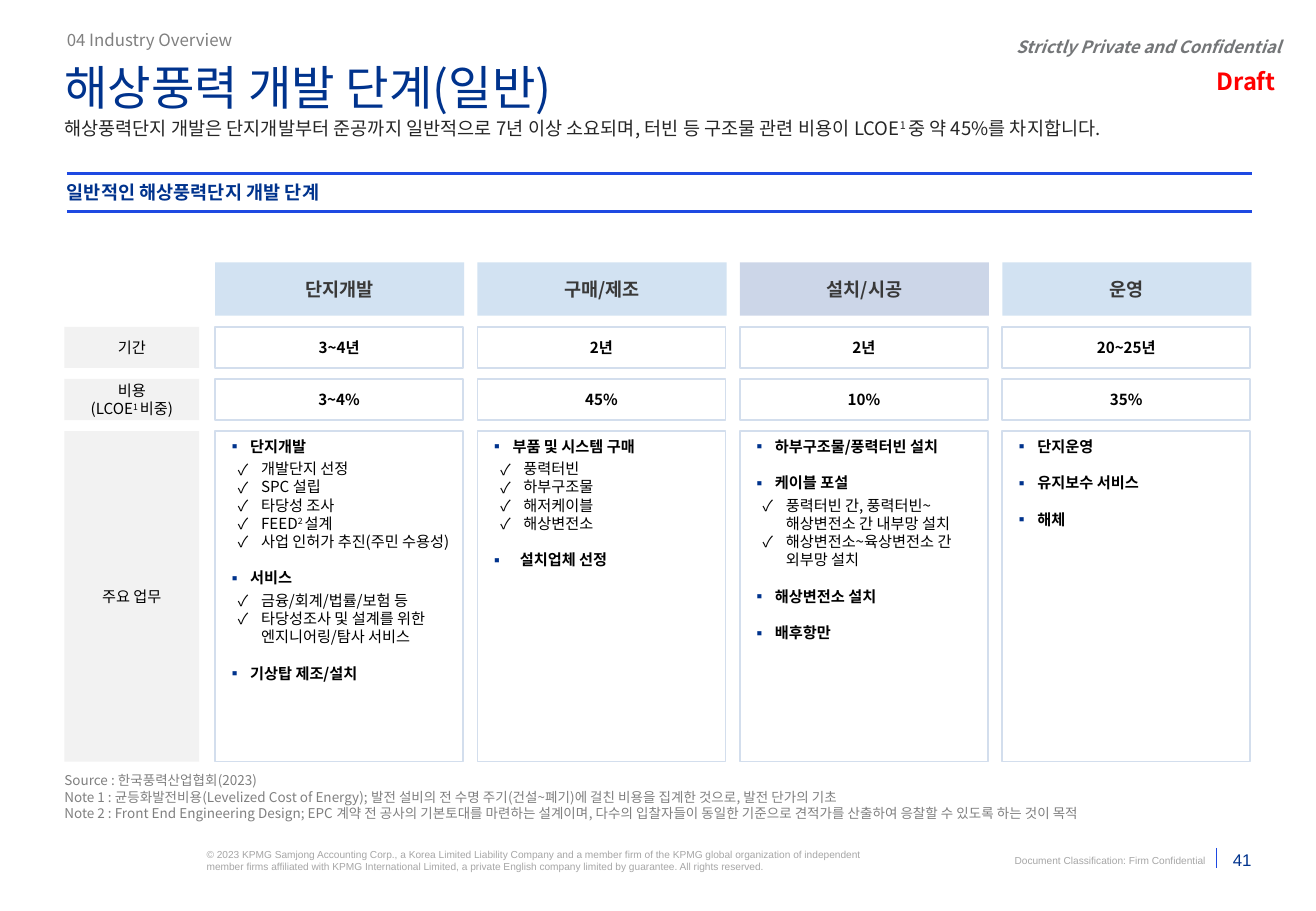
from dataclasses import dataclass, replace
from typing import NamedTuple, Optional

from lxml.etree import SubElement
from pptx import Presentation
from pptx.dml.color import RGBColor
from pptx.enum.shapes import MSO_CONNECTOR, MSO_SHAPE
from pptx.enum.text import MSO_ANCHOR, MSO_AUTO_SIZE, PP_ALIGN
from pptx.oxml.ns import qn
from pptx.util import Inches, Pt

NAVY = RGBColor(0x00, 0x33, 0x8D)
BLUE = RGBColor(0x1E, 0x49, 0xE2)
SKY = RGBColor(0xBF, 0xD7, 0xED)
BORDER = RGBColor(0xD3, 0xDE, 0xED)
LABEL_FILL = RGBColor(0xF2, 0xF2, 0xF2)
BLACK = RGBColor(0x00, 0x00, 0x00)
CHARCOAL = RGBColor(0x26, 0x26, 0x26)
HEADER_TEXT = RGBColor(0x39, 0x39, 0x39)
SLATE = RGBColor(0x74, 0x76, 0x78)
GRAY = RGBColor(0x80, 0x80, 0x80)
NOTE_GRAY = RGBColor(0x7F, 0x7F, 0x7F)
FOOTER_GRAY = RGBColor(0xA6, 0xA6, 0xA6)
RED = RGBColor(0xFF, 0x00, 0x00)
KOREAN_FONT = "Noto Sans CJK KR"
LINE_FACTOR = 1.2
SLIDE_WIDTH, SLIDE_HEIGHT = Inches(10.83), Inches(7.5)


class Box(NamedTuple):
    """Place and size in percent of the slide."""
    left: float
    top: float
    width: float
    height: float

    def lengths(self) -> tuple:
        return (x_share(self.left), y_share(self.top),
                x_share(self.width), y_share(self.height))


@dataclass(frozen=True)
class Style:
    size: float
    color: RGBColor = BLACK
    bold: bool = False
    italic: bool = False
    align: PP_ALIGN = PP_ALIGN.LEFT
    anchor: MSO_ANCHOR = MSO_ANCHOR.TOP
    font: str = KOREAN_FONT
    inset: tuple = (0, 0)


@dataclass(frozen=True)
class Task:
    text: str
    details: tuple = ()
    indent: float = 0.19


@dataclass(frozen=True)
class Stage:
    name: str
    period: str
    cost: str
    tasks: tuple
    fill: RGBColor = SKY
    opacity: int = 70


MIDDLE = MSO_ANCHOR.MIDDLE
HEADER = Style(11, HEADER_TEXT, True, align=PP_ALIGN.CENTER, anchor=MIDDLE, inset=(0.1, 0.05))
VALUE = replace(HEADER, size=9, color=BLACK)
LABEL = replace(VALUE, bold=False, inset=(0.06, 0.06))
TASK = Style(9, bold=True, inset=(0.1, 0.05))
DETAIL = replace(TASK, bold=False)
FOOTER = Style(6, FOOTER_GRAY, font="Arial")

# Matrix grid, in percent of the slide
LABEL_LEFT, LABEL_WIDTH = 4.89, 10.25
COLUMN_LEFT, COLUMN_PITCH, HEADER_WIDTH, CELL_WIDTH = 16.34, 19.94, 18.93, 18.84
HEADER_TOP, HEADER_HEIGHT = 28.8, 5.87
ROW_TOP, ROW_PITCH = 35.87, 5.73
ROW_HEIGHTS = (4.53, 4.53, 36.27)
ROW_LABELS = (["기간"], ["비용", "(LCOE^1 ^비중)"], ["주요 업무"])

STAGES = (
    Stage("단지개발", "3~4년", "3~4%", (
        Task("단지개발", ("개발단지 선정", "SPC 설립", "타당성 조사", "FEED^2 ^설계",
                      "사업 인허가 추진(주민 수용성)")),
        Task("서비스", ("금융/회계/법률/보험 등",
                     "타당성조사 및 설계를 위한 엔지니어링/탐사 서비스")),
        Task("기상탑 제조/설치"))),
    Stage("구매/제조", "2년", "45%", (
        Task("부품 및 시스템 구매", ("풍력터빈", "하부구조물", "해저케이블", "해상변전소")),
        Task("설치업체 선정", indent=0.25))),
    Stage("설치/시공", "2년", "10%", (
        Task("하부구조물/풍력터빈 설치"),
        Task("케이블 포설", ("풍력터빈 간, 풍력터빈~해상변전소 간 내부망 설치",
                       "해상변전소~육상변전소 간 외부망 설치")),
        Task("해상변전소 설치"), Task("배후항만")), NAVY, 20),
    Stage("운영", "20~25년", "35%", (
        Task("단지운영"), Task("유지보수 서비스"), Task("해체"))),
)


def x_share(percent: float) -> int:
    return round(SLIDE_WIDTH * percent / 100)


def y_share(percent: float) -> int:
    return round(SLIDE_HEIGHT * percent / 100)


def write_paragraph(paragraph, text: str, style: Style, space_before: float = 0) -> None:
    """Fill a paragraph; text between carets is superscript."""
    paragraph.alignment = style.align
    paragraph.space_before = Pt(space_before)
    if style.font == KOREAN_FONT:
        paragraph.line_spacing = Pt(style.size * LINE_FACTOR)
    font = paragraph.font
    font.name, font.size = style.font, Pt(style.size)
    font.bold, font.italic = style.bold, style.italic
    font.color.rgb = style.color
    SubElement(font._rPr, qn("a:ea")).set("typeface", style.font)
    for position, part in enumerate(text.split("^")):
        run = paragraph.add_run()
        run.text = part
        if position % 2:
            run._r.get_or_add_rPr().set("baseline", "30000")


def add_bullet(paragraph, character: str, left: float, hanging: float,
               color: Optional[RGBColor] = None) -> None:
    properties = paragraph._p.get_or_add_pPr()
    properties.set("marL", str(Inches(left)))
    properties.set("indent", str(-Inches(hanging)))
    if color is not None:
        SubElement(SubElement(properties, qn("a:buClr")), qn("a:srgbClr")).set("val", str(color))
    SubElement(properties, qn("a:buFont")).set("typeface", KOREAN_FONT)
    SubElement(properties, qn("a:buChar")).set("char", character)


def prepare_frame(shape, style: Style):
    frame = shape.text_frame
    frame.word_wrap = True
    frame.auto_size = MSO_AUTO_SIZE.NONE
    frame.vertical_anchor = style.anchor
    frame.margin_left = frame.margin_right = Inches(style.inset[0])
    frame.margin_top = frame.margin_bottom = Inches(style.inset[1])
    return frame


def write_lines(shape, lines: list, style: Style) -> None:
    frame = prepare_frame(shape, style)
    for position, line in enumerate(lines):
        paragraph = frame.add_paragraph() if position else frame.paragraphs[0]
        write_paragraph(paragraph, line, style)


def write_tasks(shape, tasks: tuple) -> None:
    frame = prepare_frame(shape, TASK)
    for position, task in enumerate(tasks):
        paragraph = frame.add_paragraph() if position else frame.paragraphs[0]
        add_bullet(paragraph, "▪", task.indent, task.indent, NAVY)
        write_paragraph(paragraph, task.text, TASK, 9 * LINE_FACTOR if position else 0)
        for detail_position, detail in enumerate(task.details):
            paragraph = frame.add_paragraph()
            add_bullet(paragraph, "✓", 0.28, 0.19)
            write_paragraph(paragraph, detail, DETAIL, 0 if detail_position else 2 * LINE_FACTOR)


def fill_placeholder(placeholder, box: Box, text: str, style: Style) -> None:
    placeholder.left, placeholder.top, placeholder.width, placeholder.height = box.lengths()
    properties = placeholder.text_frame.paragraphs[0]._p.get_or_add_pPr()
    properties.set("marL", "0")
    properties.set("indent", "0")
    SubElement(properties, qn("a:buNone"))
    write_lines(placeholder, [text], style)


def add_rectangle(slide, box: Box, fill: Optional[RGBColor] = None, opacity: int = 100):
    """Filled block, or an outlined cell when no fill is given."""
    shape = slide.shapes.add_shape(MSO_SHAPE.RECTANGLE, *box.lengths())
    shape.shadow.inherit = False
    if fill is None:
        shape.fill.background()
        shape.line.color.rgb = BORDER
        shape.line.width = Pt(1)
        return shape
    shape.fill.solid()
    shape.fill.fore_color.rgb = fill
    shape.line.fill.background()
    if opacity < 100:
        color = shape._element.spPr.find(qn("a:solidFill")).find(qn("a:srgbClr"))
        SubElement(color, qn("a:alpha")).set("val", str(opacity * 1000))
    return shape


def add_rule(slide, left: float, top: float, right: float, bottom: float, width: float) -> None:
    rule = slide.shapes.add_connector(MSO_CONNECTOR.STRAIGHT, x_share(left), y_share(top),
                                      x_share(right), y_share(bottom))
    rule.line.color.rgb = BLUE
    rule.line.width = Pt(width)
    SubElement(rule._element.spPr, qn("a:effectLst"))


def add_matrix(slide) -> None:
    row_tops = [ROW_TOP + ROW_PITCH * row for row in range(len(ROW_HEIGHTS))]
    for lines, top, height in zip(ROW_LABELS, row_tops, ROW_HEIGHTS):
        label = add_rectangle(slide, Box(LABEL_LEFT, top, LABEL_WIDTH, height), LABEL_FILL)
        write_lines(label, lines, LABEL)
    for column, stage in enumerate(STAGES):
        left = COLUMN_LEFT + COLUMN_PITCH * column
        header = add_rectangle(slide, Box(left, HEADER_TOP, HEADER_WIDTH, HEADER_HEIGHT),
                               stage.fill, stage.opacity)
        write_lines(header, [stage.name], HEADER)
        period, cost, tasks = [add_rectangle(slide, Box(left, top, CELL_WIDTH, height))
                               for top, height in zip(row_tops, ROW_HEIGHTS)]
        write_lines(period, [stage.period], VALUE)
        write_lines(cost, [stage.cost], VALUE)
        write_tasks(tasks, stage.tasks)


TEXTS = (
    # Confidentiality marks
    (Box(76.64, 4, 20.68, 2.27), ["Strictly Private and Confidential"],
     Style(10, SLATE, True, True, PP_ALIGN.RIGHT, MIDDLE)),
    (Box(79.59, 7.33, 17.36, 3.2), ["Draft"],
     Style(14, RED, True, align=PP_ALIGN.RIGHT, anchor=MIDDLE)),
    # Key message and section heading
    (Box(4.89, 12.8, 90.12, 2.53),
     ["해상풍력단지 개발은 단지개발부터 준공까지 일반적으로 7년 이상 소요되며, "
      "터빈 등 구조물 관련 비용이 LCOE^1 ^중 약 45%를 차지합니다."], Style(11, CHARCOAL)),
    (Box(5.08, 19.07, 90.03, 4.13), ["일반적인 해상풍력단지 개발 단계"],
     Style(11, NAVY, True, anchor=MIDDLE)),
    # Source and notes
    (Box(4.89, 84.8, 90.12, 5.87),
     ["Source : 한국풍력산업협회(2023)",
      "Note 1 : 균등화발전비용(Levelized Cost of Energy); 발전 설비의 전 수명 주기(건설~폐기)에 "
      "걸친 비용을 집계한 것으로, 발전 단가의 기초",
      "Note 2 : Front End Engineering Design; EPC 계약 전 공사의 기본토대를 마련하는 설계이며, "
      "다수의 입찰자들이 동일한 기준으로 견적가를 산출하여 응찰할 수 있도록 하는 것이 목적"],
     Style(8, NOTE_GRAY)),
    # Footer
    (Box(15.7, 93.07, 51.62, 2.67),
     ["© 2023 KPMG Samjong Accounting Corp., a Korea Limited Liability Company and a member firm "
      "of the KPMG global organization of independent member firms affiliated with KPMG "
      "International Limited, a private English company limited by guarantee. "
      "All rights reserved."], FOOTER),
    (Box(75.72, 93.73, 15.88, 1.33), ["Document Classification: Firm Confidential"],
     replace(FOOTER, align=PP_ALIGN.RIGHT)),
    (Box(92.61, 93.33, 2.49, 2.13), ["41"],
     Style(10, NAVY, align=PP_ALIGN.RIGHT, anchor=MSO_ANCHOR.BOTTOM, font="Arial")),
)


def main() -> None:
    presentation = Presentation()
    presentation.slide_width, presentation.slide_height = SLIDE_WIDTH, SLIDE_HEIGHT
    slide = presentation.slides.add_slide(presentation.slide_layouts[1])
    fill_placeholder(slide.shapes.title, Box(4.89, 6.4, 90.12, 6.27),
                     "해상풍력 개발 단계(일반)", Style(28, NAVY))
    fill_placeholder(slide.placeholders[1], Box(5.08, 2.8, 70, 3.07),
                     "04 Industry Overview", Style(10, GRAY, anchor=MIDDLE))
    for box, lines, style in TEXTS:
        write_lines(slide.shapes.add_textbox(*box.lengths()), lines, style)
    for top in (19.07, 23.2):
        add_rule(slide, 5.08, top, 95.11, top, 1.5)
    add_rule(slide, 92.43, 93.07, 92.43, 95.33, 0.5)
    add_matrix(slide)
    presentation.save("out.pptx")


if __name__ == "__main__":
    main()
